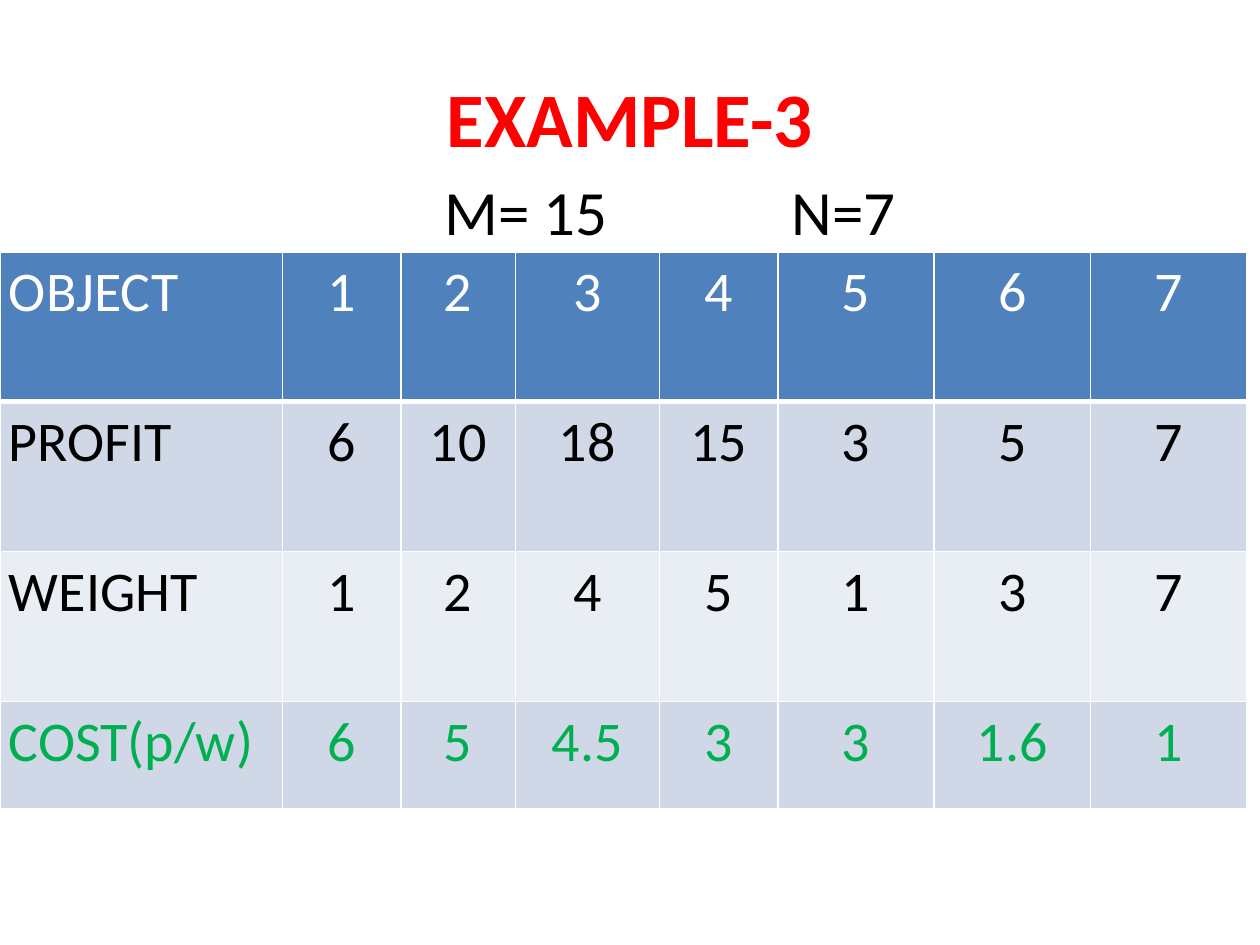
from pptx import Presentation
from pptx.dml.color import RGBColor
from pptx.enum.text import MSO_ANCHOR, MSO_AUTO_SIZE, PP_ALIGN
from pptx.oxml import parse_xml
from pptx.oxml.ns import nsdecls
from pptx.util import Cm, Pt

COL_WIDTHS = [5.69, 2.39, 2.31, 2.9, 2.39, 3.15, 3.15, 3.15]
ROW_HEIGHTS = [3.02, 3.02, 3.02, 2.16]
ROWS = [
    (["OBJECT", "1", "2", "3", "4", "5", "6", "7"], "4F81BD", "FFFFFF"),
    (["PROFIT", "6", "10", "18", "15", "3", "5", "7"], "D0D8E8", "000000"),
    (["WEIGHT", "1", "2", "4", "5", "1", "3", "7"], "E9EDF4", "000000"),
    (["COST(p/w)", "6", "5", "4.5", "3", "3", "1.6", "1"], "D0D8E8", "00B050"),
]


def rgb(color):
    """Turn a hex string into a colour."""
    return RGBColor.from_string(color)


def style_text(p, size, color, align=PP_ALIGN.LEFT, bold=False):
    """Format a paragraph and its runs."""
    p.alignment = align
    for r in p.runs:
        r.font.name = "Calibri"
        r.font.size = Pt(size)
        r.font.bold = bold
        r.font.color.rgb = rgb(color)


def set_borders(cell, bottom=1, top=1):
    """Draw white borders, with widths in points, around a cell."""
    tc_pr = cell._tc.get_or_add_tcPr()
    sides = [("L", 1), ("R", 1), ("T", top), ("B", bottom)]
    for i, (side, width) in enumerate(sides):
        tc_pr.insert(i, parse_xml(
            f'<a:ln{side} {nsdecls("a")} w="{Pt(width)}"><a:solidFill>'
            f'<a:srgbClr val="FFFFFF"/></a:solidFill></a:ln{side}>'))


def add_title(s, text):
    """Fill and place the title placeholder."""
    sp = s.shapes.title
    sp.left, sp.top, sp.width, sp.height = Cm(1.27), Cm(0.76), Cm(22.86), Cm(3.18)
    tf = sp.text_frame
    tf.text = text
    tf.vertical_anchor = MSO_ANCHOR.MIDDLE
    style_text(tf.paragraphs[0], 44, "FF0000", PP_ALIGN.CENTER, True)


def add_table(s):
    """Add the table of objects, profits, weights and costs."""
    table = s.shapes.add_table(
        len(ROWS), len(COL_WIDTHS), Cm(0), Cm(5.08),
        Cm(sum(COL_WIDTHS)), Cm(sum(ROW_HEIGHTS))).table
    for column, width in zip(table.columns, COL_WIDTHS):
        column.width = Cm(width)
    for i, (values, fill, color) in enumerate(ROWS):
        table.rows[i].height = Cm(ROW_HEIGHTS[i])
        for j, value in enumerate(values):
            cell = table.cell(i, j)
            cell.text = value
            cell.margin_left = cell.margin_right = Cm(0.18)
            cell.margin_top = cell.margin_bottom = Cm(0.13)
            cell.fill.solid()
            cell.fill.fore_color.rgb = rgb(fill)
            set_borders(cell, 3 if i == 0 else 1, 3 if i == 1 else 1)
            align = PP_ALIGN.CENTER if j else PP_ALIGN.LEFT
            style_text(cell.text_frame.paragraphs[0], 32, color, align)


def add_parameters(s, text):
    """Add the line of parameters, set apart by a tab stop."""
    tf = s.shapes.add_textbox(Cm(8.71), Cm(3.35), Cm(10.13), Cm(1.8)).text_frame
    tf.word_wrap = True
    tf.auto_size = MSO_AUTO_SIZE.SHAPE_TO_FIT_TEXT
    p = tf.paragraphs[0]
    p.text = text
    p._p.get_or_add_pPr().append(parse_xml(
        f'<a:tabLst {nsdecls("a")}><a:tab pos="{Cm(7)}" algn="l"/></a:tabLst>'))
    style_text(p, 36, "000000")


def main():
    """Build the slide and save it."""
    prs = Presentation()
    prs.slide_width, prs.slide_height = Cm(25.4), Cm(19.05)
    s = prs.slides.add_slide(prs.slide_layouts[5])
    add_title(s, "EXAMPLE-3")
    add_table(s)
    add_parameters(s, "M= 15\tN=7")
    prs.save("out.pptx")


if __name__ == "__main__":
    main()
